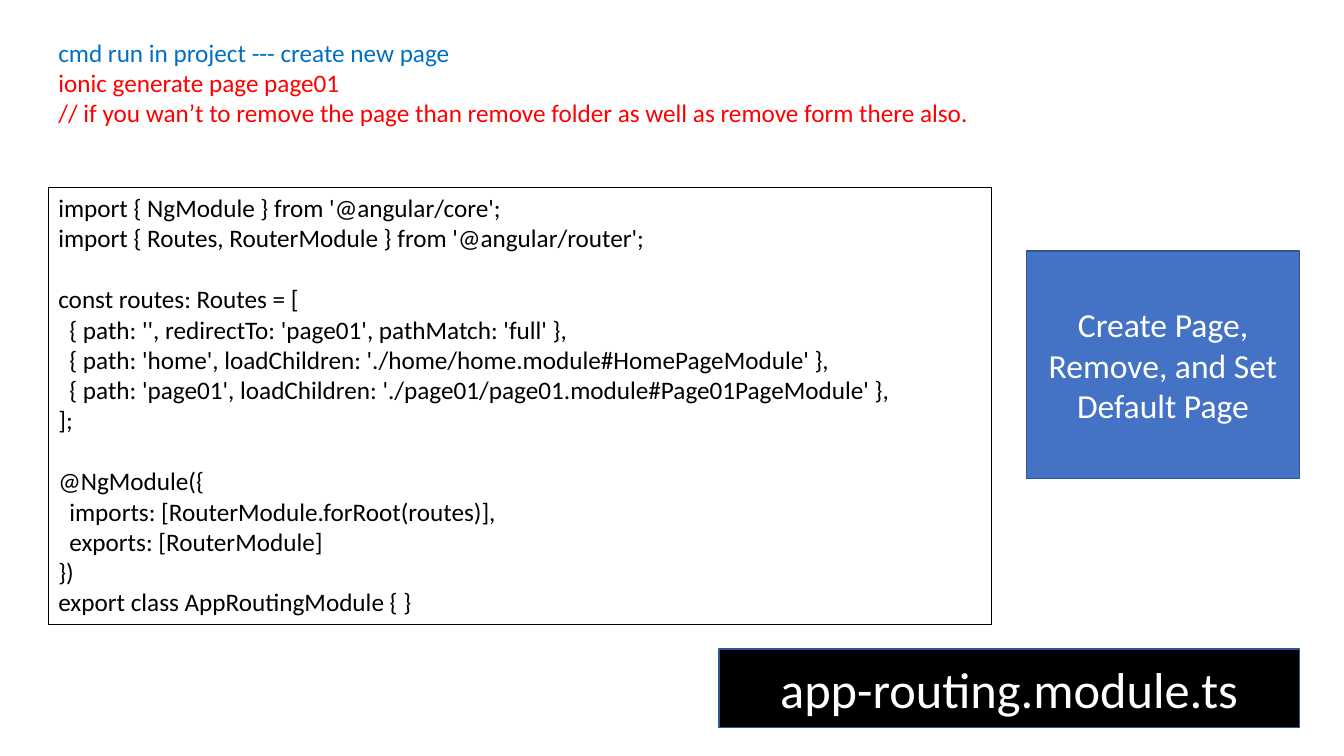
from dataclasses import dataclass

from pptx import Presentation
from pptx.dml.color import RGBColor
from pptx.enum.shapes import MSO_SHAPE
from pptx.enum.text import MSO_ANCHOR, PP_ALIGN
from pptx.util import Inches, Pt


@dataclass(frozen=True)
class Theme:
    """Font, type sizes and colours of the slide."""
    font: str = "Calibri"
    body: int = 18
    label: int = 24
    title: int = 36
    black: str = "000000"
    white: str = "FFFFFF"
    red: str = "FF0000"
    sky: str = "0070C0"
    blue: str = "4472C4"
    edge: str = "325491"


@dataclass(frozen=True)
class Line:
    """One line of text, with its indent level and the gap above it."""
    text: str
    color: str
    level: int = 0
    gap: int = 0


class Page:
    """Holds the theme and the current slide."""

    def __init__(self, theme, slide):
        """Keep the theme and the slide to draw on."""
        self.theme = theme
        self.slide = slide

    def put(self, shape, lines, size, align=PP_ALIGN.LEFT,
            anchor=MSO_ANCHOR.TOP):
        """Fill a shape with one paragraph per line."""
        frame = shape.text_frame
        frame.word_wrap = True
        frame.vertical_anchor = anchor
        for i, line in enumerate(lines):
            para = frame.add_paragraph() if i else frame.paragraphs[0]
            para.alignment = align
            para.space_before = Pt(line.gap)
            if line.level:
                props = para._p.get_or_add_pPr()
                props.set("marL", str(line.level * Inches(0.11)))
                props.set("indent", "0")
            run = para.add_run()
            run.text = line.text
            run.font.name = self.theme.font
            run.font.size = Pt(size)
            run.font.color.rgb = RGBColor.from_string(line.color)

    def text(self, box, lines):
        """Add a plain text box."""
        shape = self.slide.shapes.add_textbox(*map(Inches, box))
        self.put(shape, lines, self.theme.body)

    def rect(self, box, edge, width, fill=None):
        """Add a rectangle and return it."""
        shape = self.slide.shapes.add_shape(
            MSO_SHAPE.RECTANGLE, *map(Inches, box))
        shape.shadow.inherit = False
        if fill:
            shape.fill.solid()
            shape.fill.fore_color.rgb = RGBColor.from_string(fill)
        else:
            shape.fill.background()
        shape.line.color.rgb = RGBColor.from_string(edge)
        shape.line.width = Pt(width)
        return shape

    def code(self, box, lines):
        """Add an outlined code listing."""
        shape = self.rect(box, self.theme.black, 0.75)
        self.put(shape, lines, self.theme.body)

    def label(self, box, text, size, fill):
        """Add a filled block with centred white text."""
        shape = self.rect(box, self.theme.edge, 1, fill)
        self.put(shape, [Line(text, self.theme.white)], size,
                 PP_ALIGN.CENTER, MSO_ANCHOR.MIDDLE)


# Each block holds (indent level, text); a gap of one line parts the blocks.
BLOCKS = [
    [(0, "import { NgModule } from '@angular/core';"),
     (0, "import { Routes, RouterModule } from '@angular/router';")],
    [(0, "const routes: Routes = ["),
     (1, "{ path: '', redirectTo: 'page01', pathMatch: 'full' },"),
     (1, "{ path: 'home', loadChildren: "
         "'./home/home.module#HomePageModule' },"),
     (1, "{ path: 'page01', loadChildren: "
         "'./page01/page01.module#Page01PageModule' },"),
     (0, "];")],
    [(0, "@NgModule({"),
     (1, "imports: [RouterModule.forRoot(routes)],"),
     (1, "exports: [RouterModule]"),
     (0, "})"),
     (0, "export class AppRoutingModule { }")],
]


def main():
    """Build the slide and save it."""
    deck = Presentation()
    deck.slide_width, deck.slide_height = Inches(13.33), Inches(7.5)
    theme = Theme()
    page = Page(theme, deck.slides.add_slide(deck.slide_layouts[6]))

    code = [Line(text, theme.black, level, 22 if b and not i else 0)
            for b, block in enumerate(BLOCKS)
            for i, (level, text) in enumerate(block)]
    page.code((0.48, 1.86, 9.35, 4.34), code)
    page.text((0.48, 0.32, 9.35, 1.01), [
        Line("cmd run in project --- create new page", theme.sky),
        Line("ionic generate page page01", theme.red),
        Line("// if you wan’t to remove the page than remove folder "
             "as well as remove form there also.", theme.red),
    ])
    page.label((7.13, 6.44, 5.76, 0.78), "app-routing.module.ts",
               theme.title, theme.black)
    page.label((10.18, 2.49, 2.71, 2.26),
               "Create Page, Remove, and Set Default Page",
               theme.label, theme.blue)
    deck.save("out.pptx")


main()
